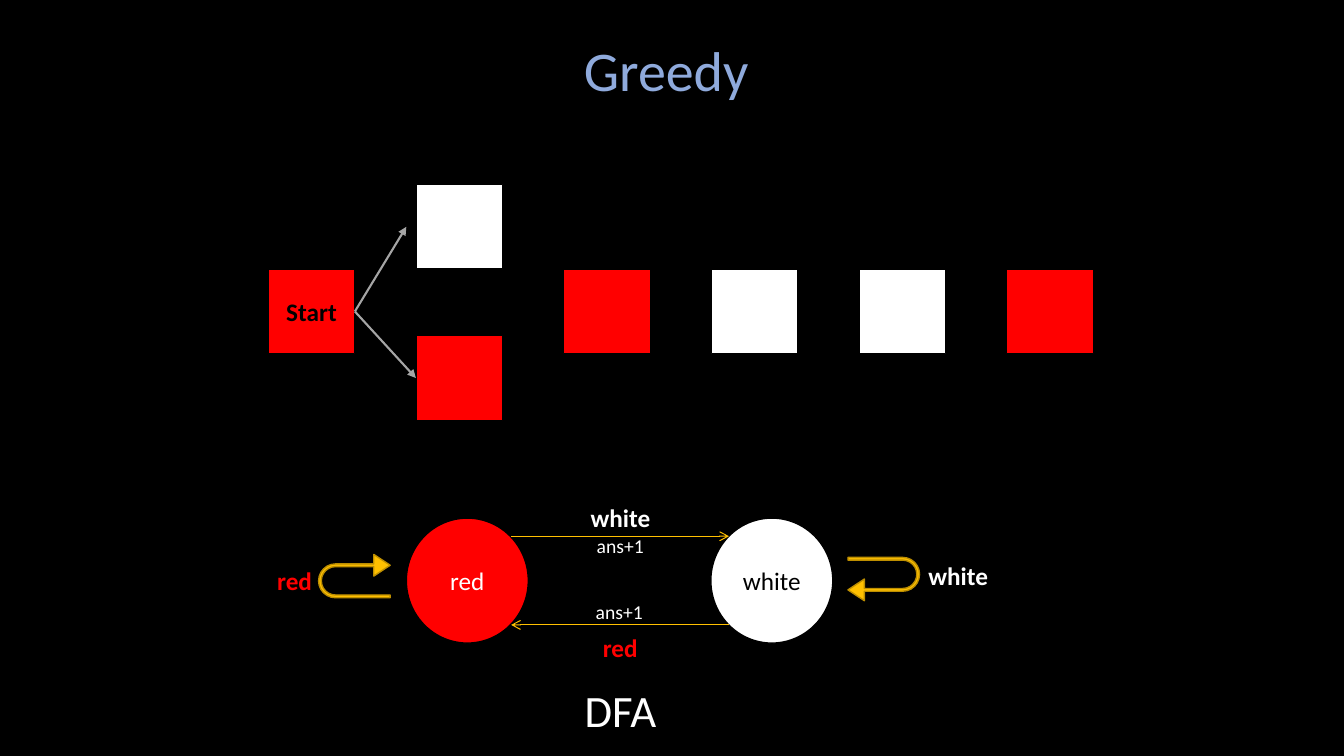
from lxml import etree
from pptx import Presentation
from pptx.dml.color import RGBColor
from pptx.enum.shapes import MSO_CONNECTOR, MSO_SHAPE
from pptx.enum.text import MSO_ANCHOR, MSO_AUTO_SIZE, PP_ALIGN
from pptx.oxml.ns import qn
from pptx.util import Inches, Pt

RECT, OVAL, UTURN = MSO_SHAPE.RECTANGLE, MSO_SHAPE.OVAL, MSO_SHAPE.U_TURN_ARROW
STRAIGHT = MSO_CONNECTOR.STRAIGHT
TOP, MIDDLE = MSO_ANCHOR.TOP, MSO_ANCHOR.MIDDLE
CENTER, LEFT = PP_ALIGN.CENTER, PP_ALIGN.LEFT
FIXED = MSO_AUTO_SIZE.NONE

BLACK = RGBColor(0x00, 0x00, 0x00)
WHITE = RGBColor(0xFF, 0xFF, 0xFF)
RED = RGBColor(0xFF, 0x00, 0x00)
BLUE = RGBColor(0x8F, 0xAA, 0xDC)
GRAY = RGBColor(0xA5, 0xA5, 0xA5)
GOLD = RGBColor(0xFF, 0xC0, 0x00)
BROWN = RGBColor(0xBD, 0x8E, 0x00)

FONT = "Calibri"
TILE_W, TILE_H, STEP = 0.86, 0.84, 1.465
TURN = (0.064, 0.25, 0.378, 0.391, 1)


def write(frame, text, size, color, bold=False, align=CENTER, anchor=MIDDLE):
    """Put one styled line of text in a frame."""
    frame.text = text
    frame.vertical_anchor = anchor
    line = frame.paragraphs[0]
    line.alignment = align
    font = line.font
    font.name, font.size, font.bold = FONT, Pt(size), bold
    font.color.rgb = color


def label(slide, x, y, w, h, text, size, color, bold=False):
    """Add a label that stays on one line."""
    frame = slide.shapes.add_textbox(*map(Inches, (x, y, w, h))).text_frame
    frame.word_wrap = False
    write(frame, text, size, color, bold, LEFT, TOP)


def block(slide, kind, x, y, w, h, fill, edge=BLACK):
    """Add a filled shape with a thin outline."""
    shape = slide.shapes.add_shape(kind, *map(Inches, (x, y, w, h)))
    shape.shadow.inherit = False
    shape.fill.solid()
    shape.fill.fore_color.rgb = fill
    shape.line.color.rgb = edge
    shape.line.width = Pt(1)
    return shape


def arrow(slide, x1, y1, x2, y2, color, width, head):
    """Add a straight arrow with its head at the second point."""
    link = slide.shapes.add_connector(STRAIGHT, *map(Inches, (x1, y1, x2, y2)))
    link.line.color.rgb = color
    link.line.width = Pt(width)
    etree.SubElement(link.line._get_or_add_ln(), qn("a:tailEnd"), type=head)
    etree.SubElement(link._element.spPr, qn("a:effectLst"))


def loop(slide, x, y, angle):
    """Add a turned arrow from a state back to itself."""
    shape = block(slide, UTURN, x, y, 0.43, 0.71, GOLD, BROWN)
    shape.rotation = angle
    for i, value in enumerate(TURN):
        shape.adjustments[i] = value


def heading(slide, x, y, w, h):
    """Fill the title placeholder."""
    title = slide.shapes.title
    title.left, title.top, title.width, title.height = map(Inches, (x, y, w, h))
    write(title.text_frame, "Greedy ", 40, BLUE, anchor=TOP)
    title.text_frame.auto_size = FIXED


def tiles(slide, x, y):
    """Draw the row of tiles, with a fork after the start tile."""
    mid = y + 0.84
    row = [(0, mid, RED), (1, y, WHITE), (1, y + 1.5, RED), (2, mid, RED),
           (3, mid, WHITE), (4, mid, WHITE), (5, mid, RED)]
    shapes = [block(slide, RECT, x + col * STEP, top, TILE_W, TILE_H, fill)
              for col, top, fill in row]
    write(shapes[0].text_frame, "Start", 18, BLACK, True)
    fork = x + TILE_W, mid + TILE_H / 2
    for end in ((x + 1.37, y + 0.42), (x + STEP, y + 1.92)):
        arrow(slide, *fork, *end, GRAY, 1.5, "triangle")


def machine(slide, x, y):
    """Draw the two states, their moves, loops and caption."""
    states = ((1.38, "red", RED, WHITE), (4.4, "white", WHITE, BLACK))
    for dx, name, fill, ink in states:
        state = block(slide, OVAL, x + dx, y + 0.21, 1.21, 1.24, fill)
        state.text_frame.word_wrap = False
        write(state.text_frame, name, 18, ink)
    near, far = x + 2.42, x + 4.58
    arrow(slide, near, y + 0.39, far, y + 0.39, GOLD, 0.75, "arrow")
    arrow(slide, far, y + 1.27, near, y + 1.27, GOLD, 0.75, "arrow")
    for dx, dy in ((3.11, 0), (6.46, 0.58)):
        label(slide, x + dx, y + dy, 0.8, 0.4, "white", 18, WHITE, True)
    for dx, dy in ((3.23, 1.29), (0, 0.63)):
        label(slide, x + dx, y + dy, 0.55, 0.4, "red", 18, RED, True)
    for dx, dy in ((3.17, 0.32), (3.16, 0.97)):
        label(slide, x + dx, y + dy, 0.68, 0.34, "ans+1", 14, WHITE)
    loop(slide, x + 0.65, y + 0.43, 270)
    loop(slide, x + 5.9, y + 0.46, 90)
    label(slide, x + 3.05, y + 1.79, 0.92, 0.64, "DFA", 32, WHITE)


def main():
    """Build and save the slide."""
    deck = Presentation()
    deck.slide_width, deck.slide_height = Inches(13.33), Inches(7.5)
    slide = deck.slides.add_slide(deck.slide_layouts[5])
    slide.background.fill.solid()
    slide.background.fill.fore_color.rgb = BLACK
    heading(slide, 2.05, 0.3, 9.24, 0.77)
    tiles(slide, 2.66, 1.83)
    machine(slide, 2.65, 4.93)
    deck.save("out.pptx")


main()
